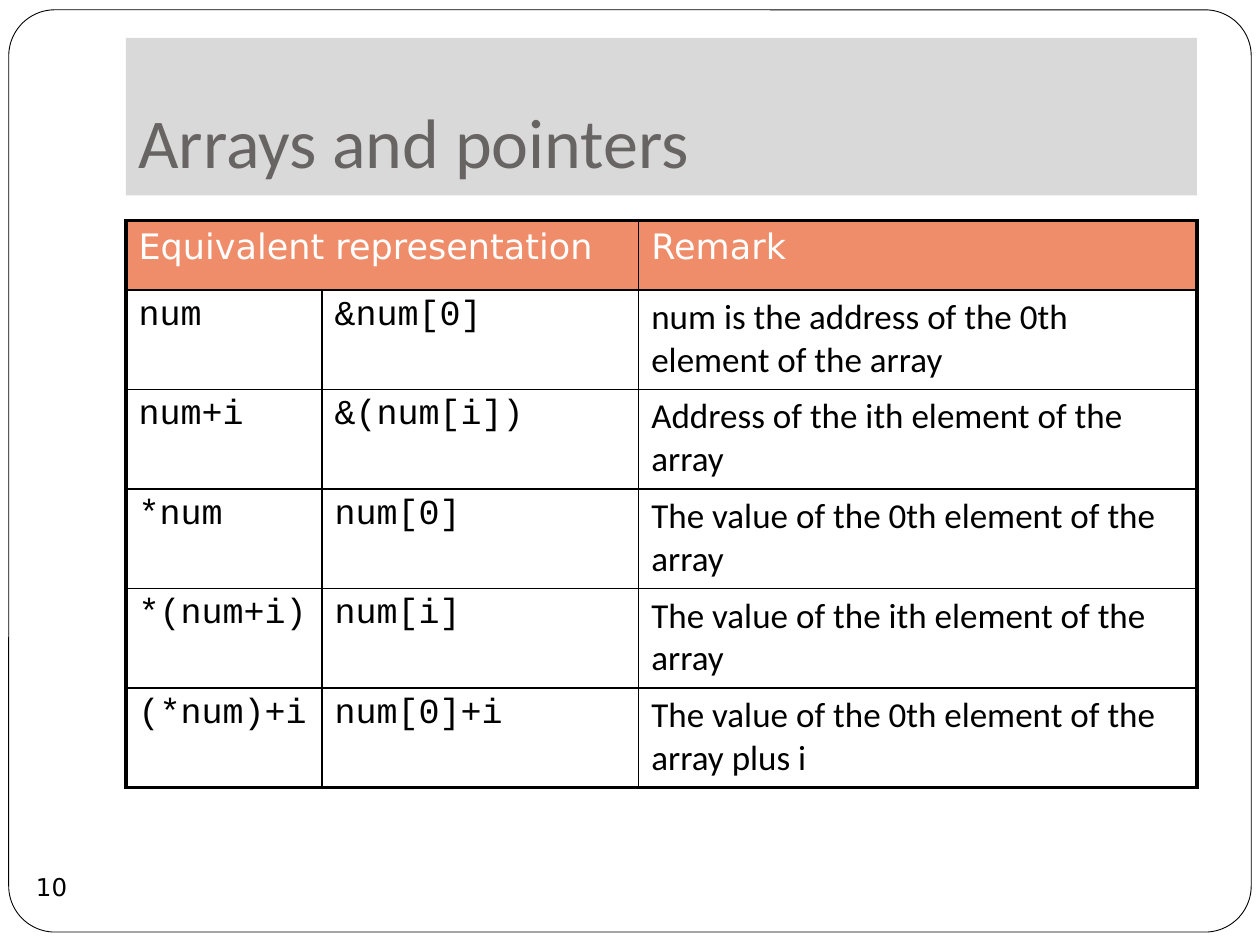
from lxml.etree import SubElement
from pptx import Presentation
from pptx.dml.color import RGBColor
from pptx.enum.shapes import MSO_SHAPE
from pptx.enum.text import MSO_ANCHOR, PP_ALIGN
from pptx.oxml.ns import qn
from pptx.util import Pt

BLACK = RGBColor(0x00, 0x00, 0x00)
WHITE = RGBColor(0xFF, 0xFF, 0xFF)
GRAY = RGBColor(0xD9, 0xD9, 0xD9)
SLATE = RGBColor(0x69, 0x64, 0x64)
CORAL = RGBColor(0xEF, 0x8C, 0x6A)

SANS, BODY, CODE = "DejaVu Sans", "Calibri", "Courier New"
THIN, THICK = 1, 2.25

HEAD = ["Equivalent representation", "", "Remark"]
ROWS = [
    ["num", "&num[0]", "num is the address of the 0th element of the array"],
    ["num+i", "&(num[i])", "Address of the ith element of the array"],
    ["*num", "num[0]", "The value of the 0th element of the array"],
    ["*(num+i)", "num[i]", "The value of the ith element of the array"],
    ["(*num)+i", "num[0]+i", "The value of the 0th element of the array plus i"],
]


class Page:
    """Holds the slide and draws each kind of element in its style."""

    def __init__(self, slide):
        self.slide = slide

    def shape(self, kind, box, fill=None, line=None):
        item = self.slide.shapes.add_shape(kind, *map(Pt, box))
        item.shadow.inherit = False
        if fill is None:
            item.fill.background()
        else:
            item.fill.solid()
            item.fill.fore_color.rgb = fill
        if line is None:
            item.line.fill.background()
        else:
            item.line.color.rgb = BLACK
            item.line.width = Pt(line)
        return item

    def style(self, frame, text, face, size, color, align=PP_ALIGN.LEFT):
        para = frame.paragraphs[0]
        para.text = text
        para.alignment = align
        para.font.name = face
        para.font.size = Pt(size)
        para.font.color.rgb = color

    def label(self, item, text, face, size, color, align, anchor, pads, wrap):
        frame = item.text_frame
        frame.word_wrap = wrap
        frame.vertical_anchor = anchor
        (frame.margin_left, frame.margin_top,
         frame.margin_right, frame.margin_bottom) = map(Pt, pads)
        self.style(frame, text, face, size, color, align)

    def edges(self, cell, widths):
        props = cell._tc.get_or_add_tcPr()
        for side, width in zip("LRTB", widths):
            line = SubElement(props, qn(f"a:ln{side}"), w=str(Pt(width)))
            paint = SubElement(line, qn("a:solidFill"))
            SubElement(paint, qn("a:srgbClr"), val=str(BLACK))

    def table(self, left, top, cols, highs, data):
        grid = self.slide.shapes.add_table(
            len(highs), len(cols), Pt(left), Pt(top),
            Pt(sum(cols)), Pt(sum(highs))).table
        for col, width in zip(grid.columns, cols):
            col.width = Pt(width)
        for row, high in zip(grid.rows, highs):
            row.height = Pt(high)
        grid.cell(0, 0).merge(grid.cell(0, 1))

        end, last = len(highs) - 1, len(cols) - 1
        for r, texts in enumerate(data):
            for c, text in enumerate(texts):
                cell = grid.cell(r, c)
                # Thick lines on the outside, thin ones within
                outer = (c == 0, c == last, r == 0, r == end)
                self.edges(cell, [THICK if out else THIN for out in outer])
                if r == 0:
                    cell.fill.solid()
                    cell.fill.fore_color.rgb = CORAL
                    face, color = SANS, WHITE
                else:
                    cell.fill.background()
                    face, color = BODY if c == last else CODE, BLACK
                if text:
                    self.style(cell.text_frame, text, face, 20, color)


def main():
    deck = Presentation()
    deck.slide_width, deck.slide_height = Pt(720), Pt(540)
    page = Page(deck.slides.add_slide(deck.slide_layouts[6]))

    # Page frame
    frame = page.shape(MSO_SHAPE.ROUNDED_RECTANGLE,
                       (5, 5.6, 710, 527), WHITE, 0.5)
    frame.adjustments[0] = 0.05

    # Title band
    band = page.shape(MSO_SHAPE.RECTANGLE, (72, 21.6, 612, 90), GRAY)
    page.label(band, "Arrays and pointers", BODY, 40, SLATE,
               PP_ALIGN.LEFT, MSO_ANCHOR.BOTTOM, (7.2, 3.6, 7.2, 7.2), True)

    # Table of equal forms
    page.table(72, 126, [112, 181, 319], [39.6] + [56.88] * len(ROWS),
               [HEAD] + ROWS)

    # Page number
    badge = page.shape(MSO_SHAPE.OVAL, (11.5, 489, 36, 36))
    page.label(badge, "10", SANS, 14, BLACK,
               PP_ALIGN.CENTER, MSO_ANCHOR.MIDDLE, (0, 0, 0, 0), False)

    deck.save("out.pptx")


if __name__ == "__main__":
    main()
